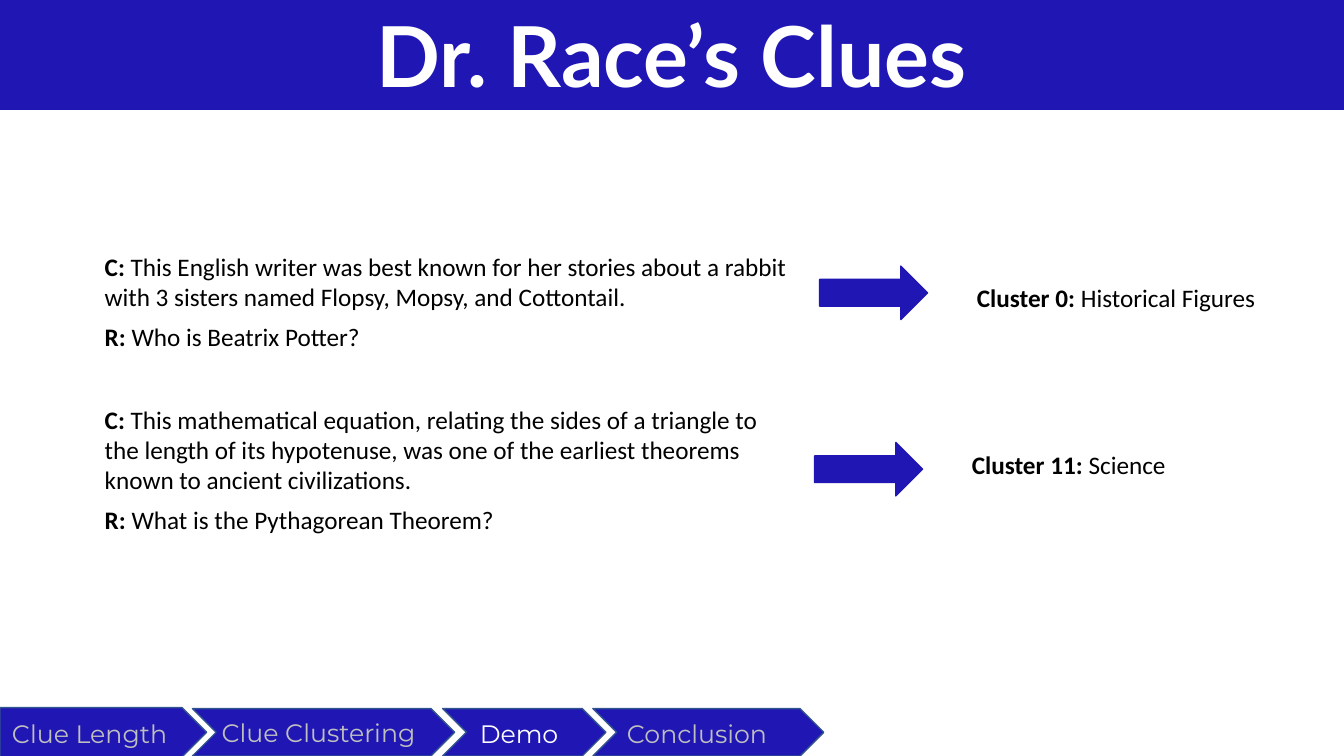
from pptx import Presentation
from pptx import util as u
from pptx.dml.color import RGBColor
from pptx.enum import shapes, text

PX = u.Inches(1) // 100
COLOURS = {
    "blue": "1F16B4",
    "outline": "31538F",
    "ink": "000000",
    "active": "FFFFFF",
    "muted": "BFBFBF",
}


class ClueSlide:
    def __init__(self, deck, body_font, nav_font, title_font):
        self.slide = deck.slides.add_slide(deck.slide_layouts[6])
        self.body_font = body_font
        self.nav_font = nav_font
        self.title_font = title_font

    def colour(self, name):
        return RGBColor.from_string(COLOURS[name])

    def style(self, paragraph, font, size, colour):
        paragraph.font.name = font
        paragraph.font.size = u.Pt(size)
        paragraph.font.color.rgb = self.colour(colour)

    def block(self, kind, box, outline=None):
        block = self.slide.shapes.add_shape(kind, *(v * PX for v in box))
        block.shadow.inherit = False
        block.fill.solid()
        block.fill.fore_color.rgb = self.colour("blue")
        if outline:
            block.line.color.rgb = self.colour(outline)
            block.line.width = u.Pt(1)
        else:
            block.line.fill.background()
        return block

    def frame(self, box):
        frame = self.slide.shapes.add_textbox(*(v * PX for v in box)).text_frame
        frame.word_wrap = True
        return frame

    def labelled(self, box, lines, gap=7):
        frame = self.frame(box)
        for i, (label, content) in enumerate(lines):
            paragraph = frame.add_paragraph() if i else frame.paragraphs[0]
            if i:
                paragraph.space_before = u.Pt(gap)
            self.style(paragraph, self.body_font, 18, "ink")
            lead = paragraph.add_run()
            lead.text = label
            lead.font.bold = True
            paragraph.add_run().text = " " + content

    def nav_label(self, box, wording, colour):
        paragraph = self.frame(box).paragraphs[0]
        paragraph.text = wording
        self.style(paragraph, self.nav_font, 18, colour)

    def title(self, box, wording):
        frame = self.block(shapes.MSO_SHAPE.RECTANGLE, box).text_frame
        frame.word_wrap = True
        frame.vertical_anchor = text.MSO_ANCHOR.MIDDLE
        paragraph = frame.paragraphs[0]
        paragraph.text = wording
        paragraph.alignment = text.PP_ALIGN.CENTER
        self.style(paragraph, self.title_font, 60, "active")
        paragraph.font.bold = True


def main():
    deck = Presentation()
    deck.slide_width, deck.slide_height = 1333 * PX, 750 * PX
    page = ClueSlide(deck, "Calibri", "Montserrat", "Lato")

    clues = [
        ((94, 244, 703, 111),
         "This English writer was best known for her stories about a rabbit "
         "with 3 sisters named Flopsy, Mopsy, and Cottontail.",
         "Who is Beatrix Potter?",
         (813, 264, 107, 53), (959, 275, 300, 40), "Cluster 0:", "Historical Figures"),
        ((94, 396, 703, 141),
         "This mathematical equation, relating the sides of a triangle to the length "
         "of its hypotenuse, was one of the earliest theorems known to ancient civilizations.",
         "What is the Pythagorean Theorem?",
         (808, 439, 107, 53), (954, 441, 300, 40), "Cluster 11:", "Science"),
    ]
    for clue_box, clue, response, arrow_box, cluster_box, cluster, topic in clues:
        page.labelled(clue_box, [("C:", clue), ("R:", response)])
        page.block(shapes.MSO_SHAPE.RIGHT_ARROW, arrow_box, "blue")
        page.labelled(cluster_box, [(cluster, topic)])

    first, later = shapes.MSO_SHAPE.PENTAGON, shapes.MSO_SHAPE.CHEVRON
    steps = [
        ("Clue Length", first, (0, 702, 205, 49), (2, 708, 205, 40), "muted"),
        ("Clue Clustering", later, (191, 703, 260, 47), (210, 707, 260, 40), "muted"),
        ("Demo", later, (439, 703, 162, 47), (466, 708, 135, 40), "active"),
        ("Conclusion", later, (588, 703, 229, 47), (612, 708, 205, 40), "muted"),
    ]
    for wording, kind, step_box, label_box, colour in steps:
        page.block(kind, step_box, "outline")
        page.nav_label(label_box, wording, colour)

    page.title((-32, -2, 1396, 111), "Dr. Race’s Clues")
    deck.save("out.pptx")


if __name__ == "__main__":
    main()
